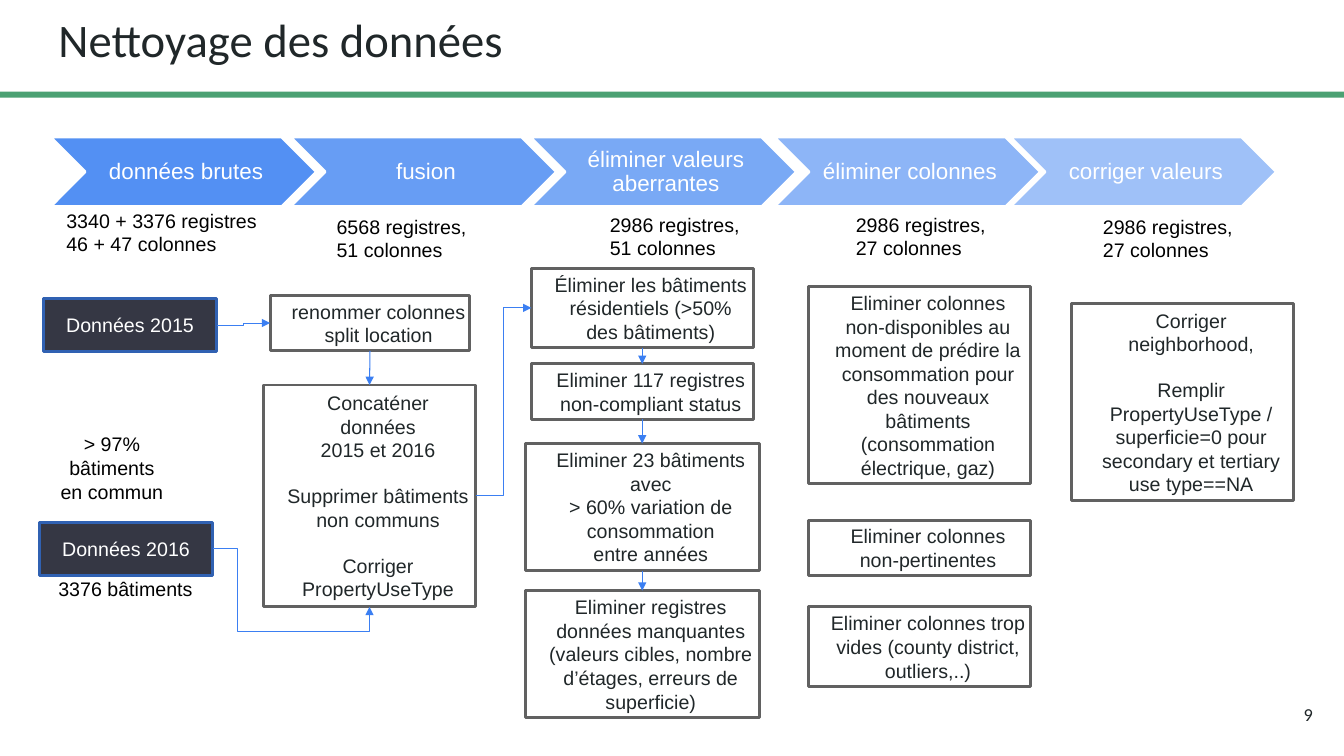
from lxml.etree import SubElement
from pptx import Presentation
from pptx.dml.color import RGBColor
from pptx.enum.shapes import MSO_CONNECTOR, MSO_SHAPE
from pptx.enum.text import MSO_ANCHOR, PP_ALIGN
from pptx.oxml.ns import qn
from pptx.util import Inches, Pt

COLORS = {
    "white": "FFFFFF",
    "black": "000000",
    "ink": "202729",
    "green": "4BA173",
    "navy": "353744",
    "navy_line": "3061B2",
    "gray_line": "616161",
    "arrow": "3B7FF2",
    "chevron": "4185F2",
}
RIGHT, LEFT, TOP, BOTTOM = 3, 1, 0, 2
STAGES = [
    ("données brutes", 0.5, 90),
    ("fusion", 2.88, 80),
    ("éliminer valeurs aberrantes", 5.26, 70),
    ("éliminer colonnes", 7.68, 60),
    ("corriger valeurs", 10.02, 50),
]
LABELS = [
    ("3340 + 3376 registres\n46 + 47 colonnes", (0.56, 2.02, 2.1, 0.57), PP_ALIGN.LEFT),
    ("6568 registres,\n51 colonnes", (3.24, 2.08, 1.5, 0.57), PP_ALIGN.LEFT),
    ("2986 registres,\n51 colonnes", (5.95, 2.06, 1.5, 0.57), PP_ALIGN.LEFT),
    ("2986 registres,\n27 colonnes", (8.39, 2.06, 1.5, 0.57), PP_ALIGN.LEFT),
    ("2986 registres,\n27 colonnes", (10.84, 2.08, 1.5, 0.57), PP_ALIGN.LEFT),
    ("> 97%\nbâtiments\nen commun", (0.5, 4.24, 1.22, 0.81), PP_ALIGN.CENTER),
    ("3376 bâtiments", (0.48, 5.67, 1.54, 0.34), PP_ALIGN.LEFT),
]
STEPS = {
    "rename": ("renommer colonnes\nsplit location", (2.68, 2.93, 1.98, 0.55)),
    "merge": (
        "Concaténer\ndonnées\n2015 et 2016\n\n"
        "Supprimer bâtiments\nnon communs\n\nCorriger\nPropertyUseType",
        (2.61, 3.82, 2.11, 2.2),
    ),
    "residential": (
        "Éliminer les bâtiments résidentiels (>50% des bâtiments)",
        (5.27, 2.66, 2.2, 0.79),
    ),
    "status": ("Eliminer 117 registres non-compliant status", (5.27, 3.61, 2.2, 0.55)),
    "variation": (
        "Eliminer 23 bâtiments avec\n> 60% variation de consommation\nentre années",
        (5.21, 4.4, 2.32, 1.26),
    ),
    "missing": (
        "Eliminer registres données manquantes\n"
        "(valeurs cibles, nombre d’étages, erreurs de superficie)",
        (5.21, 5.86, 2.32, 1.26),
    ),
    "unavailable": (
        "Eliminer colonnes non-disponibles au moment de prédire la consommation "
        "pour des nouveaux bâtiments (consommation électrique, gaz)",
        (8.02, 2.84, 2.2, 1.96),
    ),
    "irrelevant": ("Eliminer colonnes non-pertinentes", (8.02, 5.16, 2.2, 0.55)),
    "empty": (
        "Eliminer colonnes trop vides (county district, outliers,..)",
        (8.02, 6.02, 2.2, 0.79),
    ),
    "correct": (
        "Corriger neighborhood,\n\nRemplir PropertyUseType / superficie=0 pour "
        "secondary et tertiary use type==NA",
        (10.63, 3.01, 2.2, 1.96),
    ),
}


def color(name):
    """Return the named colour."""
    return RGBColor.from_string(COLORS[name])


def write(shape, text, *, size=14, font="Arial", ink="black", align=PP_ALIGN.CENTER,
          anchor=MSO_ANCHOR.MIDDLE, insets=(0.1, 0.05, 0.1, 0.05), indent=0, spacing=None):
    """Fill a shape with paragraphs; a blank line in the text becomes space before."""
    frame = shape.text_frame
    frame.word_wrap = True
    frame.vertical_anchor = anchor
    frame.margin_left, frame.margin_top, frame.margin_right, frame.margin_bottom = map(Inches, insets)
    para = None
    for block_index, block in enumerate(text.split("\n\n")):
        for line_index, line in enumerate(block.split("\n")):
            para = frame.paragraphs[0] if para is None else frame.add_paragraph()
            para.alignment = align
            para.line_spacing = spacing
            if block_index and not line_index:
                para.space_before = Pt(size * 1.15)
            if indent:
                properties = para._p.get_or_add_pPr()
                properties.set("marL", str(Inches(indent)))
                properties.set("indent", "0")
            span = para.add_run()
            span.text = line
            span.font.size = Pt(size)
            span.font.name = font
            span.font.color.rgb = color(ink)


def add_label(page, text, area, **style):
    """Add a text box."""
    box = page.shapes.add_textbox(*map(Inches, area))
    write(box, text, **style)
    return box


def add_box(page, area, fill, line=None, kind=MSO_SHAPE.RECTANGLE):
    """Add a filled preset shape."""
    box = page.shapes.add_shape(kind, *map(Inches, area))
    box.shadow.inherit = False
    box.fill.solid()
    box.fill.fore_color.rgb = color(fill)
    if line:
        box.line.color.rgb = color(line)
        box.line.width = Pt(2)
    else:
        box.line.fill.background()
    return box


def add_stage(page, text, left, opacity):
    """Add one translucent chevron of the process band."""
    stage = add_box(page, (left, 1.36, 2.64, 0.69), "chevron", "white", MSO_SHAPE.CHEVRON)
    fill = stage._element.spPr.find(qn("a:solidFill"))
    SubElement(fill[0], qn("a:alpha"), val=str(opacity * 1000))
    write(stage, text, size=16, ink="white", insets=(0.07, 0.02, 0.02, 0.02), spacing=0.9)


def add_arrow(page, start, start_site, end, end_site, kind=MSO_CONNECTOR.STRAIGHT, bends=()):
    """Join two boxes with an arrow, with optional bend positions in thousandths of a percent."""
    arrow = page.shapes.add_connector(kind, 0, 0, 0, 0)
    arrow.begin_connect(start, start_site)
    arrow.end_connect(end, end_site)
    arrow.line.color.rgb = color("arrow")
    arrow.line.width = Pt(0.75)
    properties = arrow._element.spPr
    SubElement(properties.find(qn("a:ln")), qn("a:tailEnd"), type="triangle")
    SubElement(properties, qn("a:effectLst"))
    if bends:
        geometry = properties.find(qn("a:prstGeom"))
        geometry.set("prst", f"bentConnector{len(bends) + 2}")
        guides = geometry.find(qn("a:avLst"))
        for number, bend in enumerate(bends, 1):
            SubElement(guides, qn("a:gd"), name=f"adj{number}", fmla=f"val {bend}")


def add_flow(page):
    """Add the source and step boxes with the arrows between them."""
    sources = {}
    for year, left, top in ((2015, 0.43, 2.96), (2016, 0.39, 5.18)):
        sources[year] = add_box(page, (left, top, 1.72, 0.53), "navy", "navy_line")
        write(sources[year], f"Données {year}", ink="white")
    steps = {}
    for name, (text, area) in STEPS.items():
        steps[name] = add_box(page, area, "white", "gray_line")
        write(steps[name], text, ink="ink", insets=(0.04,) * 4, indent=0.17)
    elbow = MSO_CONNECTOR.ELBOW
    add_arrow(page, sources[2015], RIGHT, steps["rename"], LEFT, elbow, (50000,))
    add_arrow(page, sources[2016], RIGHT, steps["merge"], BOTTOM, elbow, (16000, 143100))
    add_arrow(page, steps["merge"], RIGHT, steps["residential"], LEFT, elbow, (50000,))
    for upper, lower in (("rename", "merge"), ("residential", "status"),
                         ("status", "variation"), ("variation", "missing")):
        add_arrow(page, steps[upper], BOTTOM, steps[lower], TOP)


def main():
    """Build the data cleaning slide."""
    deck = Presentation()
    deck.slide_width, deck.slide_height = Inches(13.33), Inches(7.5)
    page = deck.slides.add_slide(deck.slide_layouts[6])
    add_box(page, (0, 0.91, 13.33, 0.06), "green")
    add_label(page, "Nettoyage des données", (0.45, -0.02, 12.42, 0.83), size=33.3, font="Calibri",
              ink="ink", align=PP_ALIGN.LEFT, anchor=MSO_ANCHOR.TOP, insets=(0.13,) * 4)
    add_label(page, "9", (12.35, 6.8, 0.8, 0.57), size=13, font="Calibri", ink="ink",
              align=PP_ALIGN.RIGHT, insets=(0.13,) * 4)
    for stage in STAGES:
        add_stage(page, *stage)
    add_flow(page)
    for text, area, align in LABELS:
        add_label(page, text, area, align=align, anchor=MSO_ANCHOR.TOP)
    deck.save("out.pptx")


if __name__ == "__main__":
    main()
